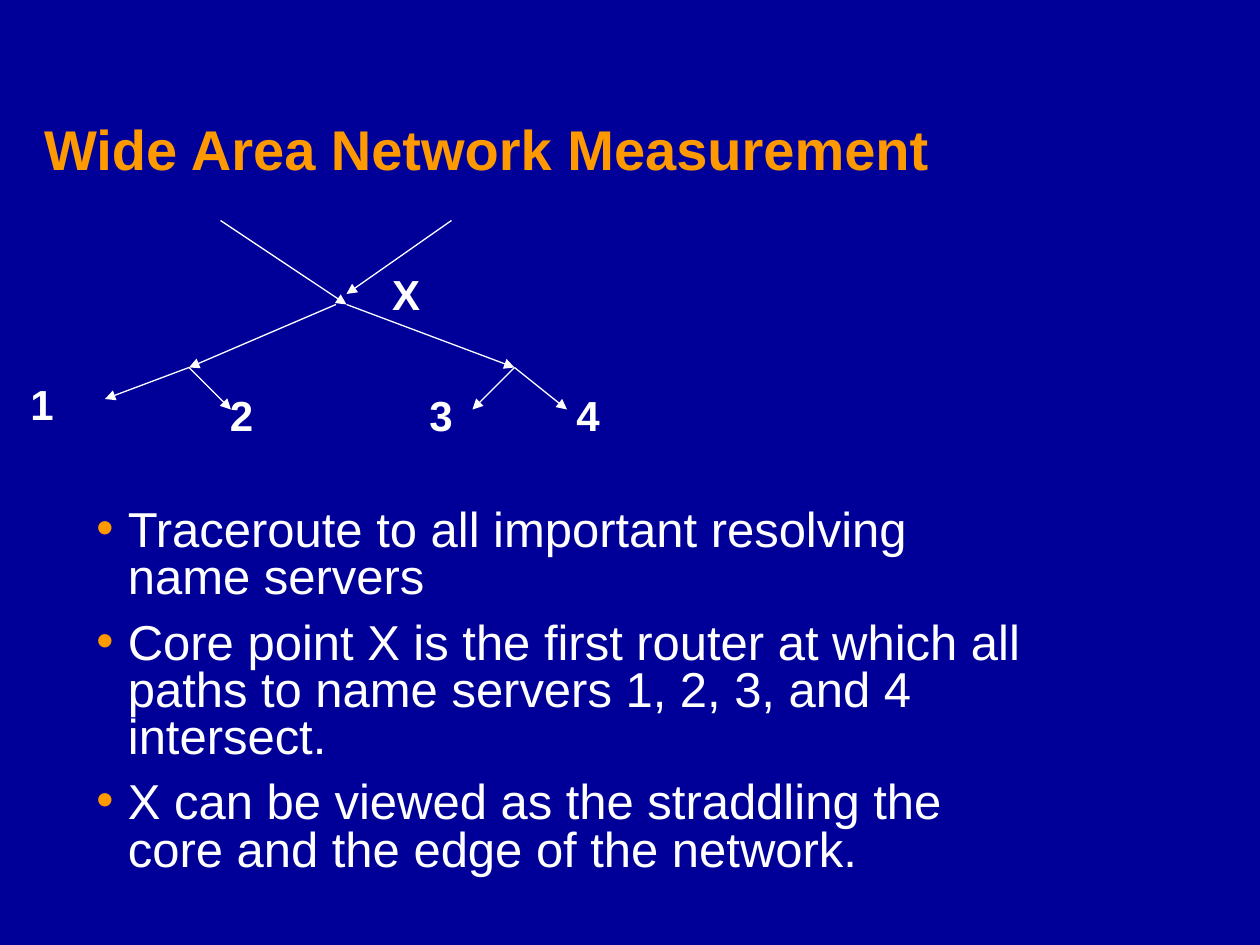
from lxml.etree import SubElement
from pptx import Presentation
from pptx.dml.color import RGBColor
from pptx.enum.shapes import MSO_CONNECTOR
from pptx.enum.text import MSO_ANCHOR, MSO_AUTO_SIZE, PP_ALIGN
from pptx.oxml.ns import qn
from pptx.util import Pt

COLORS = {"background": "000099", "accent": "FF9900", "text": "FFFFFF"}
FONT = "Arial"
TITLE = "Wide Area Network Measurement"
BULLETS = [
    "Traceroute to all important resolving name servers",
    "Core point X is the first router at which all paths to name servers 1, 2, 3, and 4 intersect.",
    "X can be viewed as the straddling the core and the edge of the network.",
]
CORE, CORE_TOP, CORE_LEFT = (186, 48), (186, 42), (180, 48)
LEFT_ROUTER, RIGHT_ROUTER = (96, 84), (282, 84)
ROUTES = [
    ((114, 0), CORE),
    (CORE, RIGHT_ROUTER),
    (RIGHT_ROUTER, (258, 108)),
    (RIGHT_ROUTER, (312, 108)),
    ((246, 0), CORE_TOP),
    (CORE_LEFT, LEFT_ROUTER),
    (LEFT_ROUTER, (48, 102)),
    (LEFT_ROUTER, (120, 108)),
]
LABELS = [("X", 219, 24), ("1", 12, 87), ("2", 126, 93), ("3", 240, 93), ("4", 324, 93)]
LABEL_WIDTH, LABEL_HEIGHT = 28, 36


def rgb(name):
    """Return the named palette colour."""
    return RGBColor.from_string(COLORS[name])


def add_run(paragraph, text, size, color="text", bold=False):
    """Append a formatted run to a paragraph."""
    run = paragraph.add_run()
    run.text = text
    run.font.name = FONT
    run.font.size = Pt(size)
    run.font.bold = bold
    run.font.color.rgb = rgb(color)


def place_title(slide, left, top, width, height):
    """Move and format the title placeholder."""
    title = slide.shapes.title
    title.left, title.top, title.width, title.height = map(Pt, (left, top, width, height))
    frame = title.text_frame
    frame.word_wrap = True
    frame.auto_size = MSO_AUTO_SIZE.NONE
    frame.vertical_anchor = MSO_ANCHOR.BOTTOM
    paragraph = frame.paragraphs[0]
    paragraph.alignment = PP_ALIGN.LEFT
    paragraph.line_spacing = 0.9
    add_run(paragraph, TITLE, 32, "accent", bold=True)


def add_bullet(paragraph):
    """Give a paragraph a hanging accent-coloured bullet."""
    properties = paragraph._p.get_or_add_pPr()
    properties.set("marL", str(Pt(18)))
    properties.set("indent", str(-Pt(18)))
    bullet_color = SubElement(properties, qn("a:buClr"))
    SubElement(bullet_color, qn("a:srgbClr")).set("val", COLORS["accent"])
    SubElement(properties, qn("a:buFont")).set("typeface", FONT)
    SubElement(properties, qn("a:buChar")).set("char", "•")


def place_bullets(slide, left, top, width, height):
    """Write the bulleted findings."""
    frame = slide.shapes.add_textbox(*map(Pt, (left, top, width, height))).text_frame
    frame.word_wrap = True
    for index, text in enumerate(BULLETS):
        paragraph = frame.add_paragraph() if index else frame.paragraphs[0]
        add_bullet(paragraph)
        paragraph.line_spacing = 0.8
        if index:
            paragraph.space_before = Pt(10.5)
        add_run(paragraph, text, 28)


def add_arrow(slide, start, end):
    """Draw a thin arrow between two points."""
    arrow = slide.shapes.add_connector(MSO_CONNECTOR.STRAIGHT, *map(Pt, (*start, *end)))
    arrow.line.color.rgb = rgb("text")
    arrow.line.width = Pt(0.75)
    SubElement(arrow.line._get_or_add_ln(), qn("a:tailEnd")).set("type", "triangle")
    SubElement(arrow._element.spPr, qn("a:effectLst"))


def add_label(slide, text, center, top):
    """Write a bold node label centred on a position."""
    box = slide.shapes.add_textbox(
        Pt(center - LABEL_WIDTH / 2), Pt(top), Pt(LABEL_WIDTH), Pt(LABEL_HEIGHT))
    frame = box.text_frame
    frame.word_wrap = False
    frame.auto_size = MSO_AUTO_SIZE.SHAPE_TO_FIT_TEXT
    paragraph = frame.paragraphs[0]
    paragraph.alignment = PP_ALIGN.CENTER
    add_run(paragraph, text, 24, bold=True)


def place_route_tree(slide, left, top):
    """Draw the routes through the core point and the node labels."""
    for start, end in ROUTES:
        add_arrow(slide, *((left + x, top + y) for x, y in (start, end)))
    for text, center, offset in LABELS:
        add_label(slide, text, left + center, top + offset)


def main():
    """Build and save the slide."""
    presentation = Presentation()
    presentation.slide_width, presentation.slide_height = Pt(720), Pt(540)
    slide = presentation.slides.add_slide(presentation.slide_layouts[5])
    slide.background.fill.solid()
    slide.background.fill.fore_color.rgb = rgb("background")
    place_title(slide, 18, 18, 564, 90)
    place_bullets(slide, 48, 288, 552, 234)
    place_route_tree(slide, 12, 126)
    presentation.save("out.pptx")


if __name__ == "__main__":
    main()
